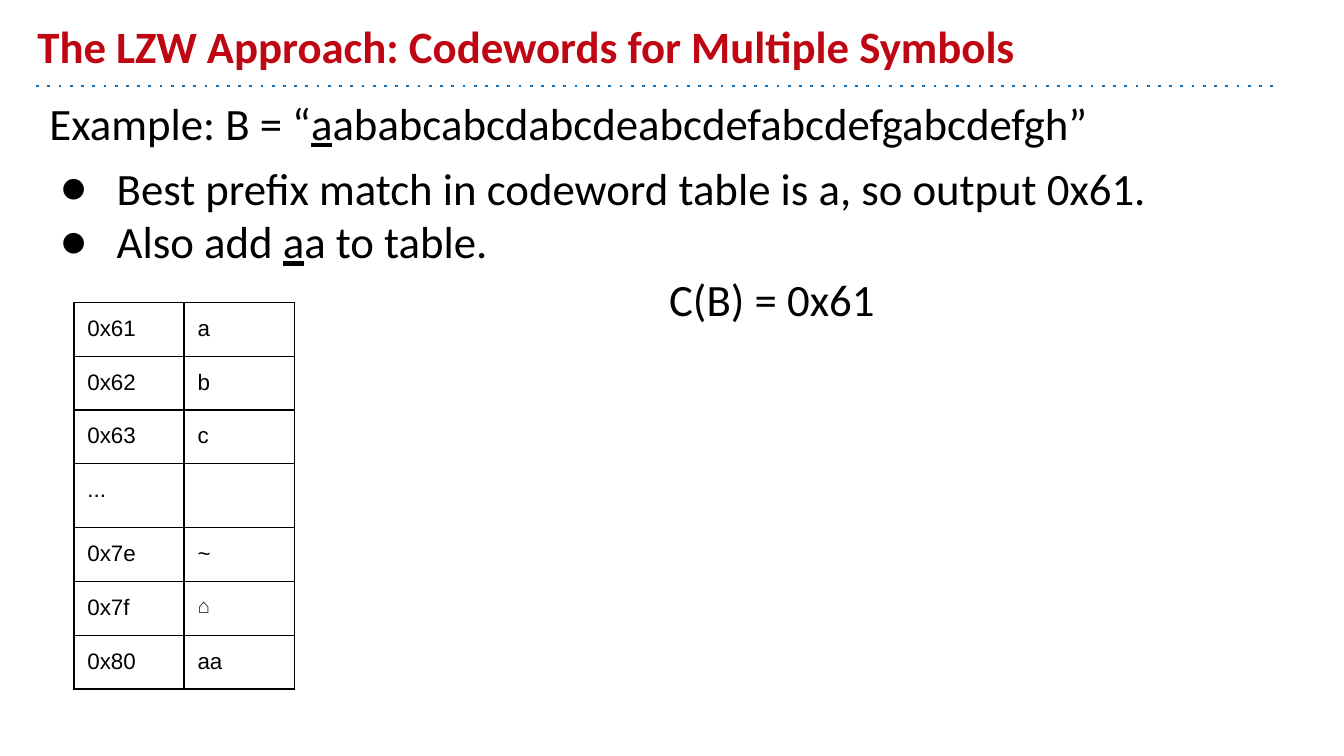
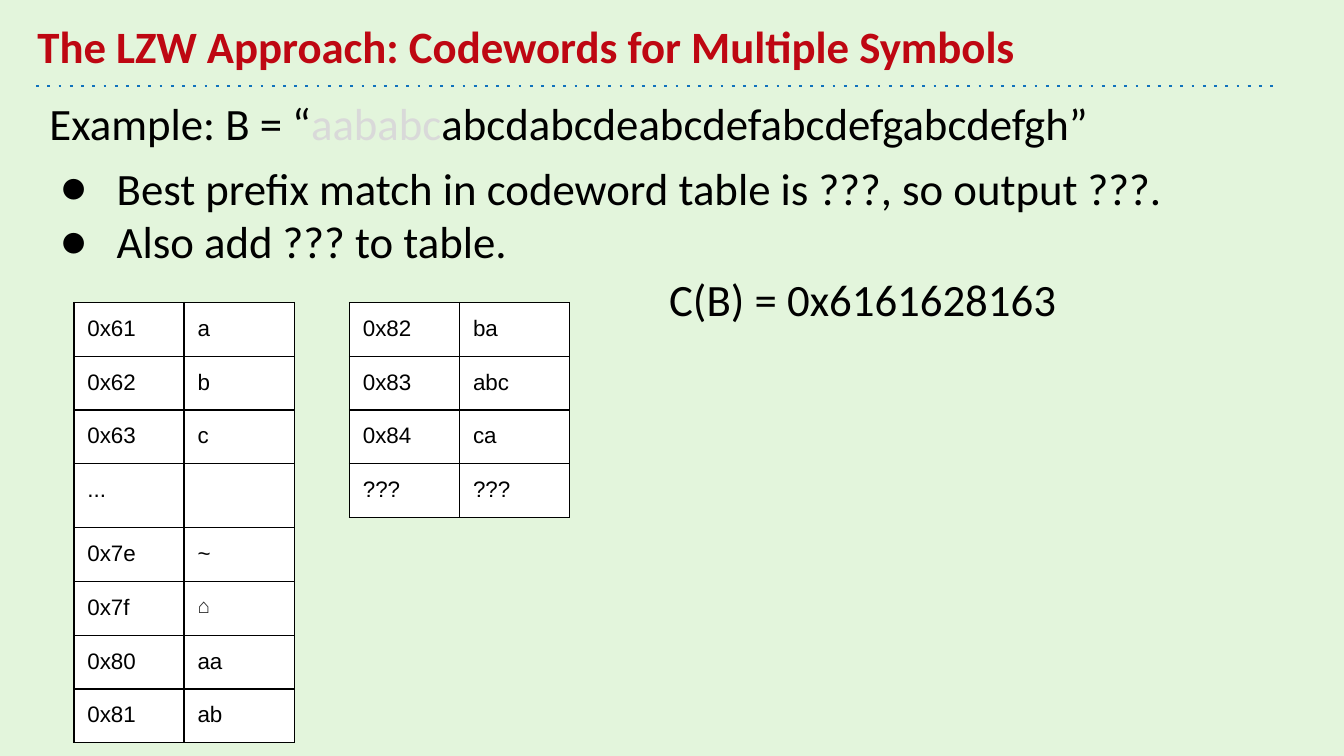
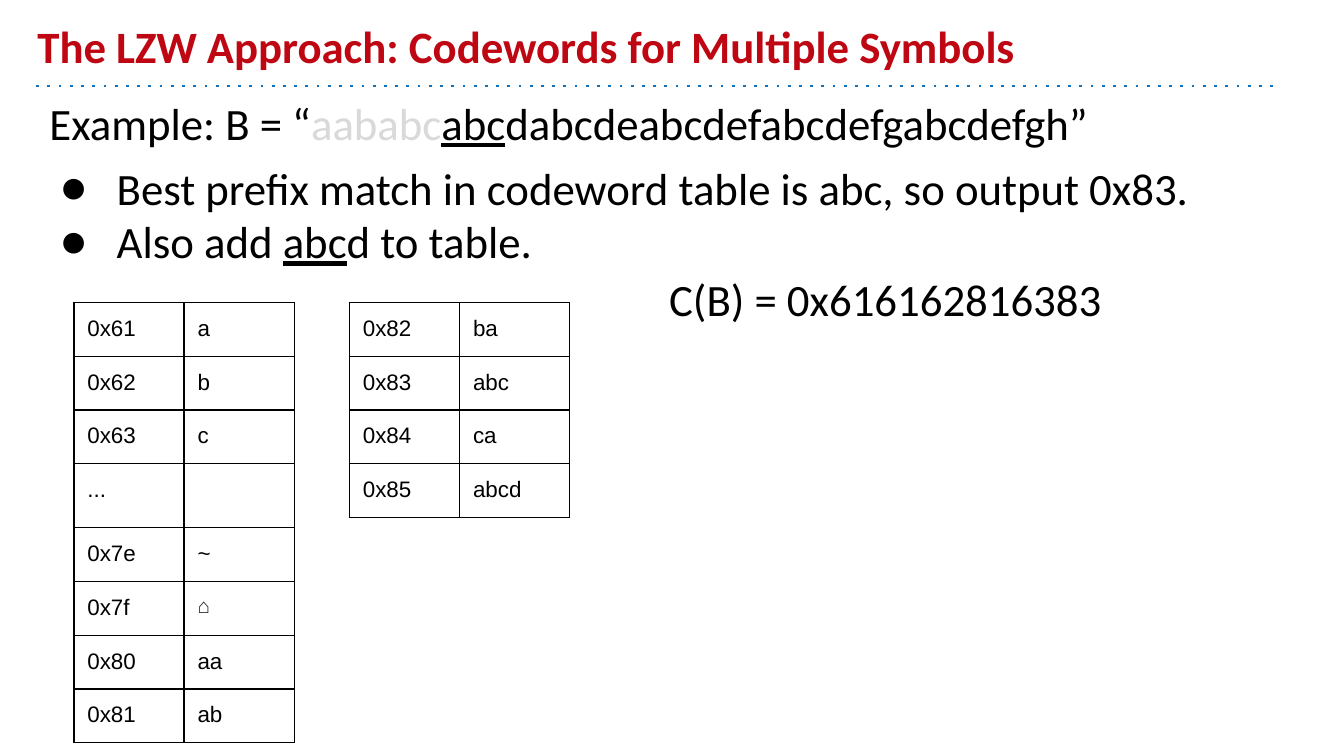
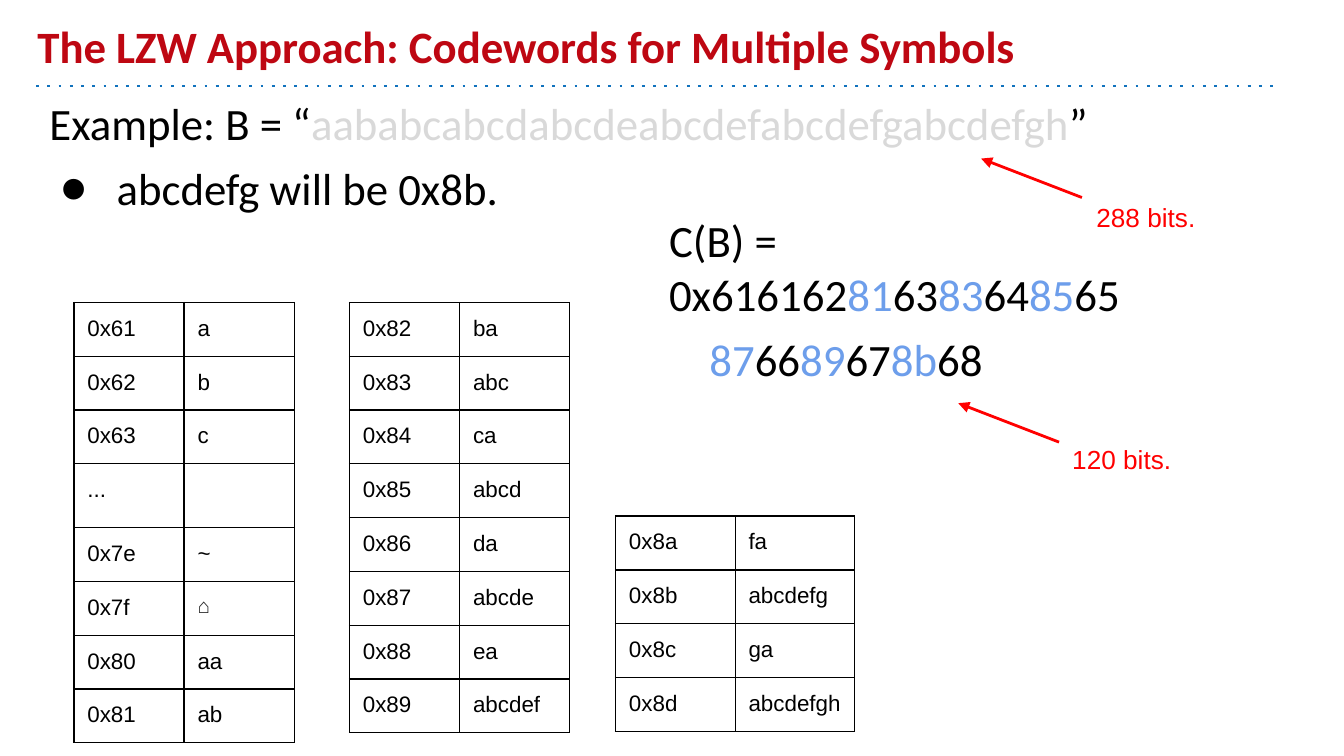
import pptx
import pptx.dml.color
import pptx.enum.shapes
import pptx.enum.text
import pptx.oxml.ns
import pptx.util
import lxml.etree

# The slide is a grid of square cells, 100 columns wide; lengths below are in cells.
WIDTH, HEIGHT, COLUMNS = pptx.util.Inches(10), pptx.util.Inches(5.625), 100
COLORS = {
    "title": "BE0712", "rule": "1072BD", "ink": "000000", "done": "D9D9D9",
    "code": "6D9EEB", "note": "FF0000", "delete": "252525",
    "paper": "FFFFFF", "question": "E3F5DC",
}
TITLE = "The LZW Approach: Codewords for Multiple Symbols"
MESSAGE = "aababcabcdabcdeabcdefabcdefgabcdefgh"
LEARNED = ["aa", "ab", "ba", "abc", "ca", "abcd", "da", "abcde", "ea", "abcdef",
           "fa", "abcdefg", "ga", "abcdefgh"]
ASCII_ROWS = [("0x61", "a"), ("0x62", "b"), ("0x63", "c"), ("...", ""),
              ("0x7e", "~"), ("0x7f", "\u2302")]
ASCII_HEIGHTS = [3.8, 3.8, 3.8, 4.75, 3.8, 3.8]
TOP, LEFT, MIDDLE = 22.5, 5.5, 26


def cells(n):
    """Turn a number of grid cells into a length."""
    return round(WIDTH * n / COLUMNS)


def rgb(name):
    """Look up a colour by its name."""
    return pptx.dml.color.RGBColor.from_string(COLORS[name])


def add_xml(parent, tag, **attributes):
    """Append a DrawingML element to a parent."""
    child = lxml.etree.SubElement(parent, pptx.oxml.ns.qn(tag))
    for key, value in attributes.items():
        child.set(key, str(value))
    return child


def write(p, text, size=24, font="Calibri", color="ink", bold=False, underline=False):
    """Add one formatted run to a paragraph."""
    r = p.add_run()
    r.text = text
    r.font.size = pptx.util.Pt(size)
    r.font.name = font
    r.font.bold = bold
    r.font.underline = underline
    r.font.color.rgb = rgb(color)


def faded(text):
    """A run already encoded."""
    return text, {"color": "done"}


def matched(text):
    """A run of the current prefix match."""
    return text, {"underline": True}


def coded(text):
    """A run of a multi-symbol codeword."""
    return text, {"color": "code"}


def write_runs(p, runs, **fmt):
    """Write plain strings and (text, format) pairs to a paragraph."""
    for run in runs:
        text, extra = (run, {}) if isinstance(run, str) else run
        write(p, text, **{**fmt, **extra})


def set_insets(target):
    """Give a text frame or a cell equal margins of one grid cell."""
    for side in ("left", "right", "top", "bottom"):
        setattr(target, "margin_" + side, cells(1))


def add_box(s, box, paragraphs, anchor="TOP", before=0, **fmt):
    """Add a text box with one list of runs per paragraph."""
    tf = s.shapes.add_textbox(*map(cells, box)).text_frame
    tf.word_wrap = True
    tf.vertical_anchor = getattr(pptx.enum.text.MSO_ANCHOR, anchor)
    set_insets(tf)
    for i, runs in enumerate(paragraphs):
        p = tf.add_paragraph() if i else tf.paragraphs[0]
        p.space_before = pptx.util.Pt(before)
        write_runs(p, runs, **fmt)
    return tf


def indent(p, left, first=0):
    """Set the left margin and first-line indent of a paragraph."""
    pPr = p._p.get_or_add_pPr()
    pPr.set("marL", str(cells(left)))
    pPr.set("indent", str(cells(first)))
    return pPr


def add_bullet(p):
    """Turn a paragraph into a bullet point."""
    pPr = indent(p, 5, -4.2)
    add_xml(add_xml(pPr, "a:buClr"), "a:srgbClr", val=COLORS["ink"])
    add_xml(pPr, "a:buFont", typeface="Calibri")
    add_xml(pPr, "a:buChar", char="\u25cf")


def add_line(s, start, end, color, dash=None, arrow=False):
    """Add a straight line, dashed or with an arrowhead at its end."""
    line = s.shapes.add_connector(pptx.enum.shapes.MSO_CONNECTOR.STRAIGHT,
                                  *map(cells, start + end))
    line.line.color.rgb = rgb(color)
    line.line.width = pptx.util.Pt(1.5)
    ln = line.line._get_or_add_ln()
    if dash:
        add_xml(ln, "a:prstDash", val=dash)
    if arrow:
        add_xml(ln, "a:tailEnd", type="triangle")
    add_xml(line._element.spPr, "a:effectLst")


def add_borders(cell):
    """Draw a thin line on every side of a cell."""
    tcPr = cell._tc.get_or_add_tcPr()
    for i, tag in enumerate(("a:lnL", "a:lnR", "a:lnT", "a:lnB")):
        ln = lxml.etree.Element(pptx.oxml.ns.qn(tag), w=str(pptx.util.Pt(0.75)))
        add_xml(add_xml(ln, "a:solidFill"), "a:srgbClr", val=COLORS["ink"])
        tcPr.insert(i, ln)


def add_codes(s, left, top, rows, heights, column=8.2):
    """Add a two-column table of codewords and their symbols."""
    frame = s.shapes.add_table(len(rows), 2, cells(left), cells(top),
                               cells(2 * column), cells(sum(heights)))
    table = frame.table
    table.first_row = table.horz_banding = False
    for col in table.columns:
        col.width = cells(column)
    for i, (row, height) in enumerate(zip(rows, heights)):
        table.rows[i].height = cells(height)
        for j, text in enumerate(row):
            cell = table.cell(i, j)
            set_insets(cell)
            cell.fill.solid()
            cell.fill.fore_color.rgb = rgb("paper")
            add_borders(cell)
            p = cell.text_frame.paragraphs[0]
            if text == "\u2302":
                write(p, text, size=11, font="Arial", color="delete")
            elif text:
                write(p, text, size=12, font="Arial")
            else:
                p._p.get_or_add_endParaRPr().set("sz", "1200")


def learned_rows(first, last):
    """List the learned codewords from first to last, as table rows."""
    return [(f"0x{code:02x}", LEARNED[code - 0x80]) for code in range(first, last + 1)]


def add_ascii_codes(s, last):
    """Add the starting table, extended by codewords up to last."""
    extra = learned_rows(0x80, last)
    add_codes(s, LEFT, TOP, ASCII_ROWS + extra, ASCII_HEIGHTS + [4] * len(extra))


def add_learned_codes(s, rows, left=MIDDLE, top=TOP, **size):
    """Add a table of learned codewords with even rows."""
    add_codes(s, left, top, rows, [3.8] * len(rows), **size)


def add_output(s, *paragraphs, width=32.8):
    """Add the compressed output."""
    return add_box(s, (48.8, 20.1, width, 4.3), paragraphs, anchor="MIDDLE", before=6)


def add_note(s, text, box, tip):
    """Add a red remark and the arrow that starts beside it."""
    add_line(s, (tip[0] + 7.5, tip[1] + 2.9), tip, "note", arrow=True)
    add_box(s, box, [[text]], size=14, font="Arial", color="note")


def add_step(prs, message, *bullets, background="paper"):
    """Add a slide with its title, rule, example message and bullets."""
    s = prs.slides.add_slide(prs.slide_layouts[6])
    s.background.fill.solid()
    s.background.fill.fore_color.rgb = rgb(background)
    add_line(s, (2.7, 6.4), (95, 6.4), "rule", dash="dot")
    add_box(s, (1.8, 1, 90, 5.4), [[TITLE]], anchor="BOTTOM", color="title", bold=True)
    example = ["Example: B = \u201c", *message, "\u201d"]
    tf = add_box(s, (2.7, 6.1, 92.3, 45.4), [example, *bullets], before=6)
    for p in tf.paragraphs[1:]:
        add_bullet(p)
    for p in tf.paragraphs[2:]:
        p.space_before = pptx.util.Pt(0)
    return s


def best_match(symbols, code):
    """Word the first bullet of a step."""
    return [f"Best prefix match in codeword table is {symbols}, so output {code}."]


def main():
    """Build the four steps and save them."""
    prs = pptx.Presentation()
    prs.slide_width, prs.slide_height = WIDTH, HEIGHT

    s = add_step(prs, [matched("a"), MESSAGE[1:]], best_match("a", "0x61"),
                 ["Also add ", matched("a"), "a to table."])
    add_ascii_codes(s, 0x80)
    add_output(s, ["C(B) = 0x61"])

    s = add_step(prs, [faded(MESSAGE[:6]), MESSAGE[6:]], best_match("???", "???"),
                 ["Also add ??? to table."], background="question")
    add_ascii_codes(s, 0x81)
    add_output(s, ["C(B) = 0x6161628163"])
    add_learned_codes(s, learned_rows(0x82, 0x84) + [("???", "???")])

    s = add_step(prs, [faded(MESSAGE[:6]), matched(MESSAGE[6:9]), MESSAGE[9:]],
                 best_match("abc", "0x83"),
                 ["Also add ", matched("abc"), "d to table."])
    add_ascii_codes(s, 0x81)
    add_output(s, ["C(B) = 0x616162816383"], width=38.3)
    add_learned_codes(s, learned_rows(0x82, 0x85))

    s = add_step(prs, [faded(MESSAGE)], ["abcdefg will be 0x8b."])
    add_ascii_codes(s, 0x81)
    tf = add_output(
        s,
        ["C(B) = 0x616162", coded("81"), "63", coded("83"), "64", coded("85"), "65"],
        [coded("87"), "66", coded("89"), "67", coded("8b"), "68"], width=36.3)
    indent(tf.paragraphs[1], 3)
    add_learned_codes(s, learned_rows(0x82, 0x89))
    add_learned_codes(s, learned_rows(0x8a, 0x8d), left=45.8, top=38.4, column=8.9)
    add_note(s, "288 bits.", (80.6, 14, 14.3, 4.8), (73, 11.8))
    add_note(s, "120 bits.", (78.8, 32, 14.3, 4.8), (71.3, 30))

    prs.save("out.pptx")


main()
